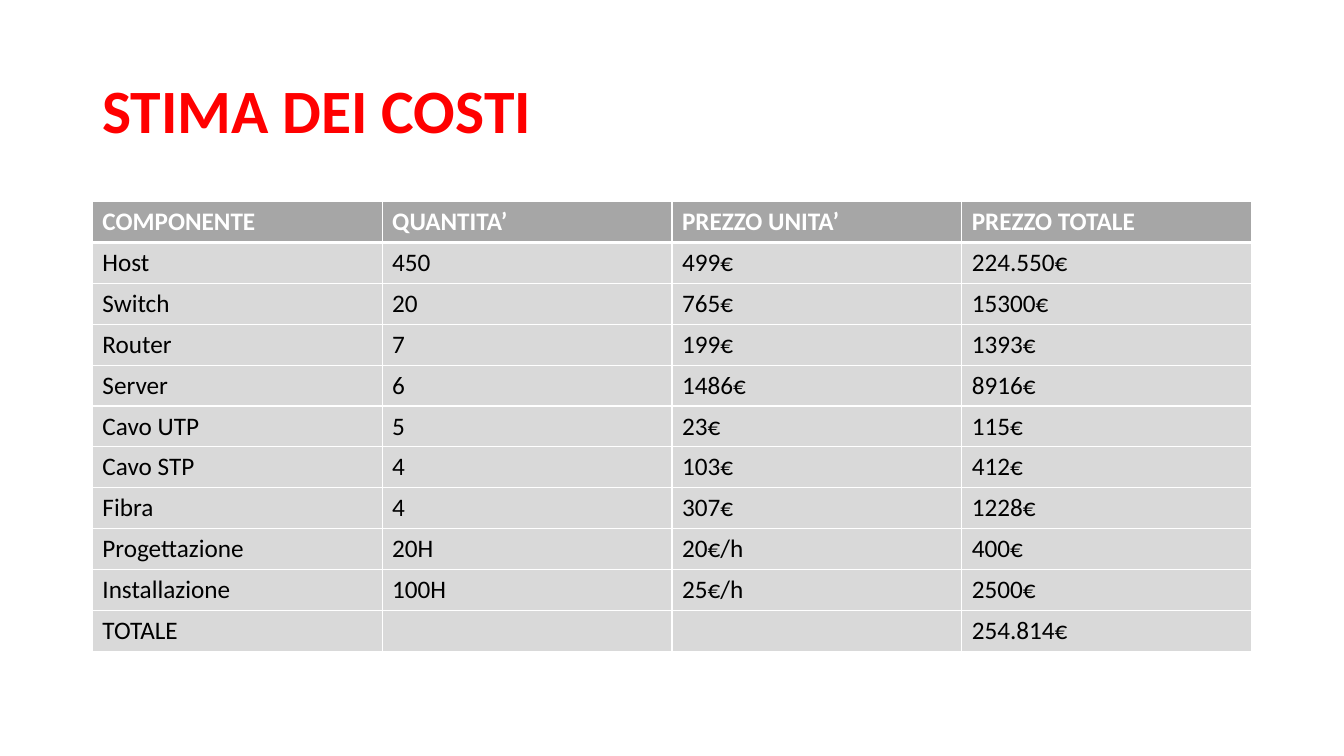
"""Build the cost estimate slide with its table of components."""
from dataclasses import astuple, dataclass

from lxml.etree import SubElement
from pptx import Presentation
from pptx.dml.color import RGBColor
from pptx.enum.text import MSO_ANCHOR
from pptx.oxml.ns import qn
from pptx.slide import Slide
from pptx.table import _Cell
from pptx.text.text import TextFrame
from pptx.util import Pt

LEFT, WIDTH = 66, 828
TITLE_TOP, TITLE_HEIGHT = 28.75, 104.37
TABLE_TOP, ROW_HEIGHT = 144, 29.2
RED, WHITE, BLACK = "FF0000", "FFFFFF", "000000"
HEADER_GRAY, BODY_GRAY = "A6A6A6", "D9D9D9"
THIN, THICK = 1, 3


@dataclass(frozen=True)
class Cost:
    component: str
    quantity: str
    unit_price: str
    total_price: str


HEADINGS = Cost("COMPONENTE", "QUANTITA’", "PREZZO UNITA’", "PREZZO TOTALE")
COSTS = [
    Cost("Host", "450", "499€", "224.550€"),
    Cost("Switch", "20", "765€", "15300€"),
    Cost("Router", "7", "199€", "1393€"),
    Cost("Server", "6", "1486€", "8916€"),
    Cost("Cavo UTP", "5", "23€", "115€"),
    Cost("Cavo STP", "4", "103€", "412€"),
    Cost("Fibra", "4", "307€", "1228€"),
    Cost("Progettazione", "20H", "20€/h", "400€"),
    Cost("Installazione", "100H", "25€/h", "2500€"),
    Cost("TOTALE", "", "", "254.814€"),
]


def color(value: str) -> RGBColor:
    return RGBColor.from_string(value)


def write(frame: TextFrame, text: str, *, size: float = 18, ink: str = BLACK,
          bold: bool = False, spacing: float = 1.0) -> None:
    paragraph = frame.paragraphs[0]
    paragraph.text = text
    paragraph.line_spacing = spacing
    paragraph.font.name = "Calibri"
    paragraph.font.size = Pt(size)
    paragraph.font.bold = bold
    paragraph.font.color.rgb = color(ink)


def add_borders(cell: _Cell, top: float, bottom: float) -> None:
    properties = cell._tc.get_or_add_tcPr()
    for side, width in (("L", THIN), ("R", THIN), ("T", top), ("B", bottom)):
        border = SubElement(properties, qn(f"a:ln{side}"), w=str(Pt(width)))
        fill = SubElement(border, qn("a:solidFill"))
        SubElement(fill, qn("a:srgbClr"), val=WHITE)


def add_title(slide: Slide, text: str) -> None:
    title = slide.shapes.add_textbox(
        Pt(LEFT), Pt(TITLE_TOP), Pt(WIDTH), Pt(TITLE_HEIGHT)).text_frame
    title.word_wrap = True
    title.vertical_anchor = MSO_ANCHOR.MIDDLE
    write(title, text, size=44, ink=RED, bold=True, spacing=0.9)


def add_cost_table(slide: Slide, headings: Cost, costs: list[Cost]) -> None:
    lines = [astuple(cost) for cost in (headings, *costs)]
    table = slide.shapes.add_table(
        len(lines), len(lines[0]), Pt(LEFT), Pt(TABLE_TOP),
        Pt(WIDTH), Pt(ROW_HEIGHT * len(lines))).table
    table.horz_banding = False
    for index, line in enumerate(lines):
        table.rows[index].height = Pt(ROW_HEIGHT)
        heading = index == 0
        for column, text in enumerate(line):
            cell = table.cell(index, column)
            add_borders(cell, top=THICK if index == 1 else THIN,
                        bottom=THICK if heading else THIN)
            cell.fill.solid()
            cell.fill.fore_color.rgb = color(HEADER_GRAY if heading else BODY_GRAY)
            write(cell.text_frame, text, ink=WHITE if heading else BLACK, bold=heading)


def main() -> None:
    presentation = Presentation()
    presentation.slide_width, presentation.slide_height = Pt(960), Pt(540)
    slide = presentation.slides.add_slide(presentation.slide_layouts[6])
    add_title(slide, "STIMA DEI COSTI")
    add_cost_table(slide, HEADINGS, COSTS)
    presentation.save("out.pptx")


if __name__ == "__main__":
    main()
